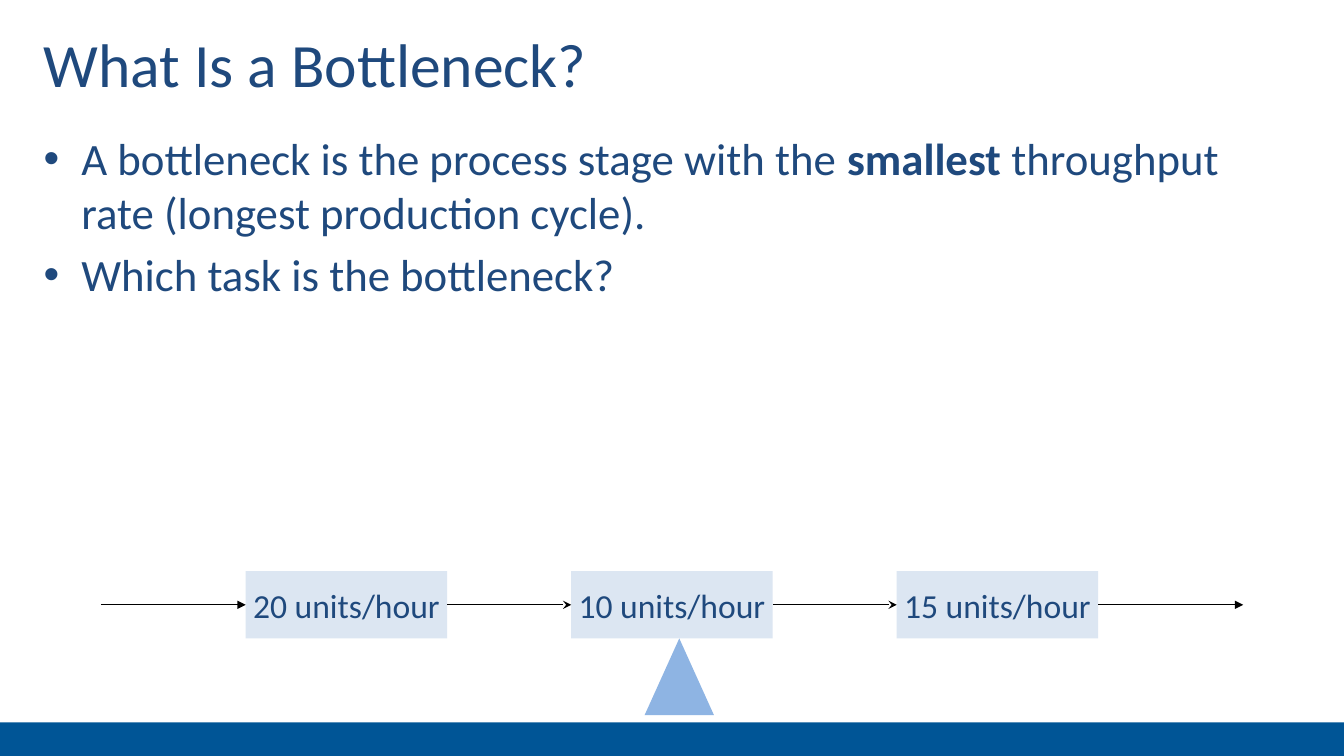
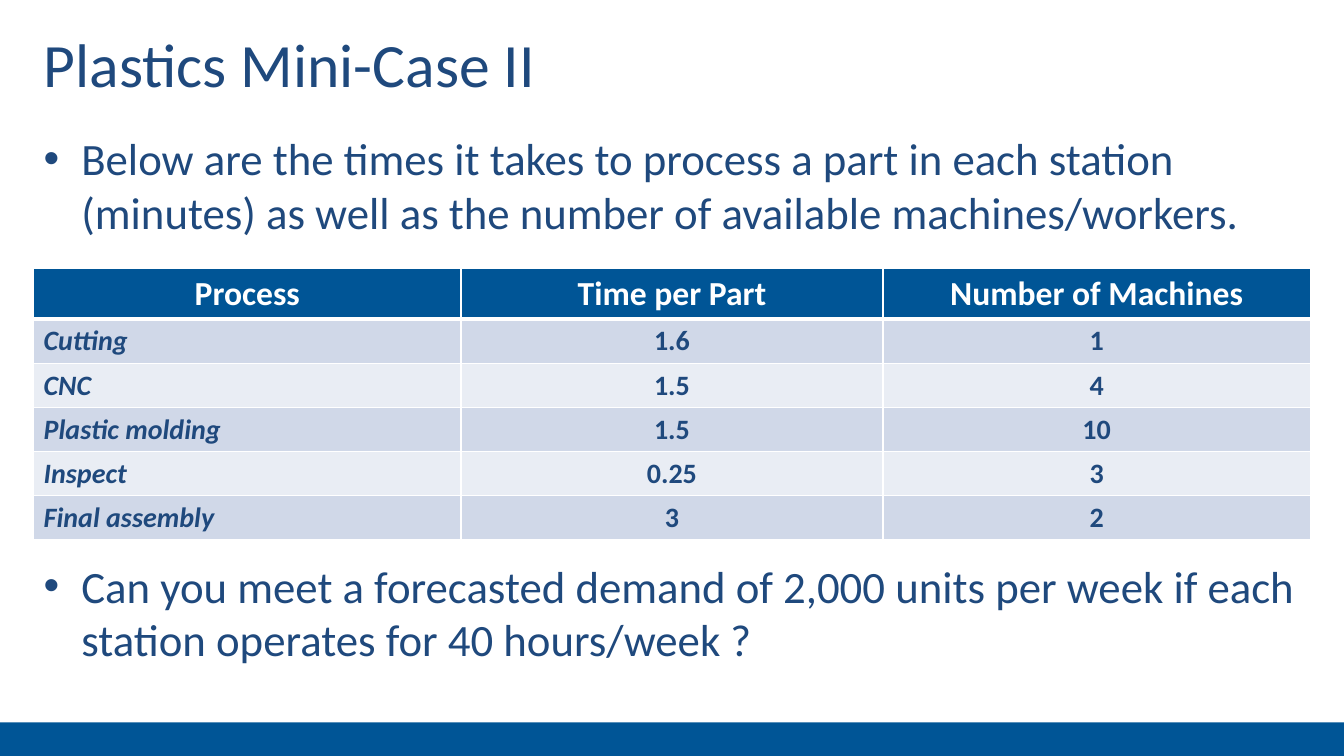
from itertools import pairwise

from lxml.etree import SubElement
from pptx import Presentation
from pptx.dml.color import RGBColor
from pptx.enum.shapes import MSO_CONNECTOR as Connector, MSO_SHAPE as Preset
from pptx.enum.text import MSO_ANCHOR as Anchor, MSO_AUTO_SIZE as AutoSize, PP_ALIGN as Align
from pptx.oxml.ns import qn
from pptx.util import Emu, Pt

EMU_PER_PX = 9525
SLIDE_W, SLIDE_H = 1280, 720
FONT = "Calibri"
NAVY, BLUE, WHITE, BLACK = "1F497D", "005596", "FFFFFF", "000000"
STATION_FILL, MARKER_FILL = "DCE6F2", "8EB4E3"
ROW_FILLS = ("D0D8E8", "E9EDF4")
TITLE_BOX = (32, 16, 1216, 88)
BAND_BOX = (0, 688, SLIDE_W, 32)


def px(length):
    """Turn whole pixels into EMU."""
    return Emu(length * EMU_PER_PX)


def color(value):
    """Turn a hex string into a colour."""
    return RGBColor.from_string(value)


def write(paragraph, text, size, hue=NAVY, bold=False, italic=False, align=Align.LEFT):
    """Add one formatted run to a paragraph."""
    paragraph.alignment = align
    run = paragraph.add_run()
    run.text = text
    font = run.font
    font.name, font.size, font.bold, font.italic = FONT, Pt(size), bold, italic
    font.color.rgb = color(hue)


def add_block(slide, preset, box, fill):
    """Add a flat filled shape without an outline."""
    block = slide.shapes.add_shape(preset, *map(px, box))
    block.shadow.inherit = False
    block.fill.solid()
    block.fill.fore_color.rgb = color(fill)
    block.line.fill.background()
    return block


def add_band(slide, master):
    """Draw the footer band and hand it to the master for every slide."""
    band = add_block(slide, Preset.RECTANGLE, BAND_BOX, BLUE)
    master.shapes.element.append(band.element)


def add_titled_slide(prs, heading):
    """Add a title-only slide with the shared title style."""
    slide = prs.slides.add_slide(prs.slide_layouts[5])
    title = slide.shapes.title
    title.left, title.top, title.width, title.height = map(px, TITLE_BOX)
    frame = title.text_frame
    frame.auto_size = AutoSize.NONE
    frame.vertical_anchor = Anchor.MIDDLE
    write(frame.paragraphs[0], heading, size=44)
    return slide


def add_bullets(slide, box, bullets):
    """Add bullets, each a list of texts where every second one is bold."""
    frame = slide.shapes.add_textbox(*map(px, box)).text_frame
    frame.word_wrap = True
    for index, parts in enumerate(bullets):
        paragraph = frame.add_paragraph() if index else frame.paragraphs[0]
        paragraph.space_before = Pt(6)
        props = paragraph._p.get_or_add_pPr()
        props.set("marL", str(px(36)))
        props.set("indent", str(px(-36)))
        SubElement(props, qn("a:buFont"), typeface="Arial")
        SubElement(props, qn("a:buChar"), char="•")
        for place, text in enumerate(parts):
            write(paragraph, text, size=32, bold=place % 2 == 1)


def add_arrow(slide, start, end, head, source=None, target=None):
    """Add an arrow, joined to the stations it leaves and reaches."""
    arrow = slide.shapes.add_connector(Connector.STRAIGHT, *map(px, start + end))
    if source:
        arrow.begin_connect(source, 3)
    if target:
        arrow.end_connect(target, 1)
    arrow.line.color.rgb = color(BLACK)
    arrow.line.width = Pt(1)
    SubElement(arrow.line._get_or_add_ln(), qn("a:tailEnd"), type=head)
    SubElement(arrow.element.spPr, qn("a:effectLst"))


def add_flow(slide, box, rates):
    """Draw the stations in line, their arrows and the bottleneck marker."""
    left, top, width, height = box
    lead, step, station_w, station_h = 138, 310, 192, 64
    middle = top + station_h // 2
    add_block(slide, Preset.ISOSCELES_TRIANGLE,
              (left + 518, top + station_h, 66, height - station_h), MARKER_FILL)
    stations = []
    for index, rate in enumerate(rates):
        station = add_block(slide, Preset.RECTANGLE,
                            (left + lead + index * step, top, station_w, station_h),
                            STATION_FILL)
        frame = station.text_frame
        frame.word_wrap = False
        frame.vertical_anchor = Anchor.MIDDLE
        write(frame.paragraphs[0], rate, size=24, align=Align.CENTER)
        stations.append(station)
    entry, leave = (left, middle), (left + width, middle)
    add_arrow(slide, entry, entry, "triangle", target=stations[0])
    for source, target in pairwise(stations):
        add_arrow(slide, entry, leave, "stealth", source, target)
    add_arrow(slide, leave, leave, "triangle", source=stations[-1])


def style_cell(cell, fill, bottom_pt):
    """Give a cell white borders, a fill and middle anchoring."""
    props = cell._tc.get_or_add_tcPr()
    for side, width in (("L", 1), ("R", 1), ("T", 1), ("B", bottom_pt)):
        line = SubElement(props, qn(f"a:ln{side}"), w=str(Pt(width)))
        SubElement(SubElement(line, qn("a:solidFill")), qn("a:srgbClr"), val=WHITE)
    cell.fill.solid()
    cell.fill.fore_color.rgb = color(fill)
    cell.vertical_anchor = Anchor.MIDDLE


def add_process_table(slide, box, col_widths, rows, header_h=48, row_h=42):
    """Add a table with a dark header and alternating rows."""
    table = slide.shapes.add_table(len(rows), len(col_widths), *map(px, box)).table
    for column, width in zip(table.columns, col_widths):
        column.width = px(width)
    for r, values in enumerate(rows):
        header = r == 0
        table.rows[r].height = px(header_h if header else row_h)
        for c, value in enumerate(values):
            cell = table.cell(r, c)
            style_cell(cell, BLUE if header else ROW_FILLS[(r - 1) % 2], 3 if header else 1)
            process = c == 0 and not header
            write(cell.text_frame.paragraphs[0], value, size=24 if header else 20,
                  hue=WHITE if header else NAVY, bold=True, italic=process,
                  align=Align.LEFT if process else Align.CENTER)


def build_bottleneck(prs):
    """Build the slide that defines a bottleneck."""
    slide = add_titled_slide(prs, "What Is a Bottleneck?")
    add_bullets(slide, (32, 120, 1216, 176), [
        ["A bottleneck is the process stage with the ", "smallest",
         " throughput rate (longest production cycle)."],
        ["Which task is the bottleneck?"],
    ])
    add_flow(slide, (96, 544, 1088, 137), ["20 units/hour", "10 units/hour", "15 units/hour"])
    return slide


def build_mini_case(prs):
    """Build the slide with the plastics process data."""
    slide = add_titled_slide(prs, "Plastics Mini-Case II")
    add_bullets(slide, (32, 120, 1216, 130), [
        ["Below are the times it takes to process a part in each station (minutes) "
         "as well as the number of available machines/workers."],
    ])
    add_process_table(slide, (32, 256, 1216, 258), (407, 402, 407), [
        ("Process", "Time per Part", "Number of Machines"),
        ("Cutting", "1.6", "1"),
        ("CNC", "1.5", "4"),
        ("Plastic molding", "1.5", "10"),
        ("Inspect", "0.25", "3"),
        ("Final assembly", "3", "2"),
    ])
    add_bullets(slide, (32, 527, 1216, 130), [
        ["Can you meet a forecasted demand of 2,000 units per week if each "
         "station operates for 40 hours/week ?"],
    ])


def main():
    """Build and save the presentation."""
    prs = Presentation()
    prs.slide_width, prs.slide_height = px(SLIDE_W), px(SLIDE_H)
    opening = build_bottleneck(prs)
    add_band(opening, prs.slide_master)
    build_mini_case(prs)
    prs.save("out.pptx")


if __name__ == "__main__":
    main()
